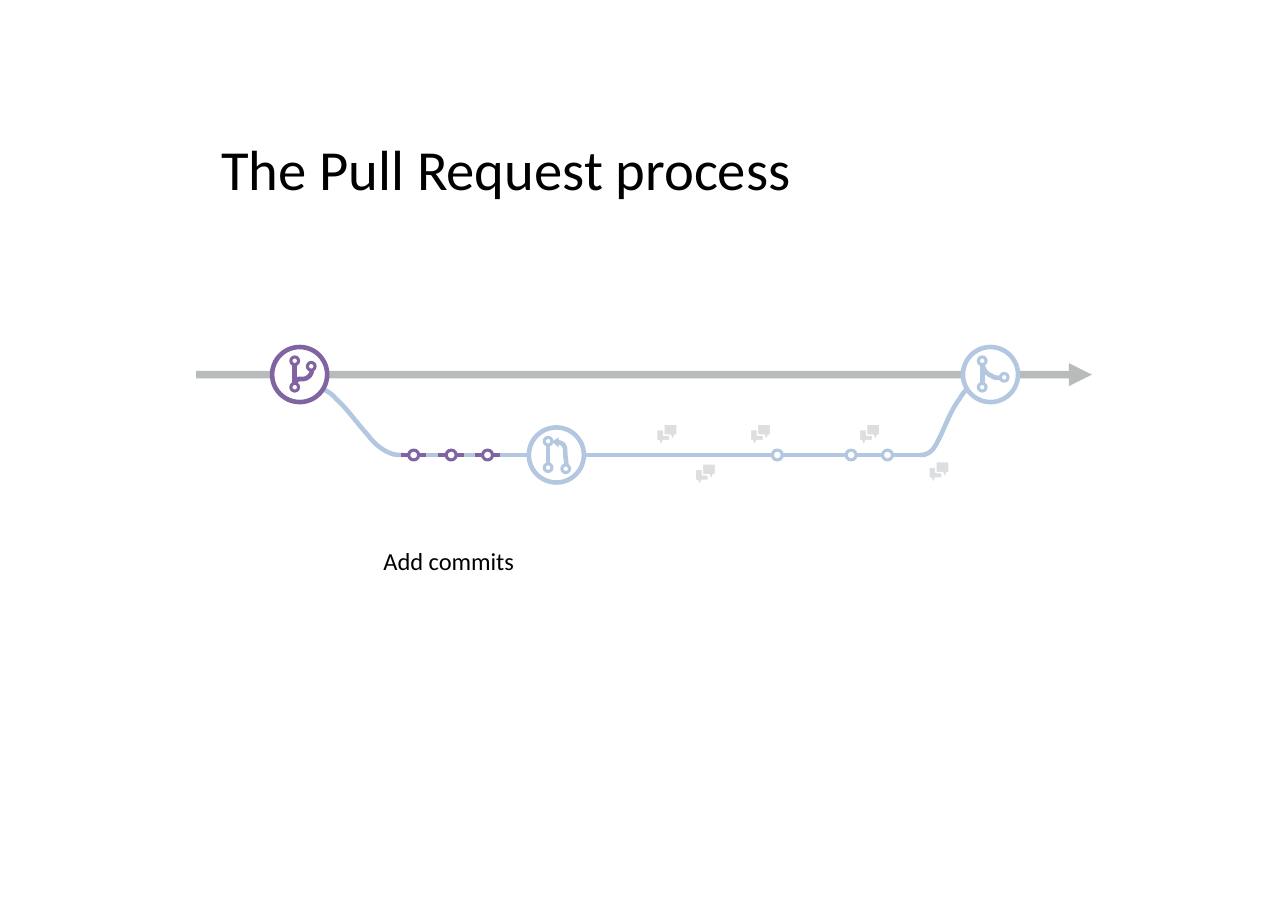
from dataclasses import dataclass

from pptx import Presentation
from pptx.dml.color import RGBColor
from pptx.enum.shapes import MSO_CONNECTOR, MSO_SHAPE
from pptx.enum.text import MSO_ANCHOR, MSO_AUTO_SIZE, PP_ALIGN
from pptx.oxml.ns import qn
from pptx.util import Inches, Pt
from lxml.etree import SubElement


@dataclass(frozen=True)
class Theme:
    font: str = "Calibri"
    text: str = "000000"
    paper: str = "FFFFFF"
    main_line: str = "A6AAA9"
    pending: str = "B3C8E0"
    active: str = "8064A2"
    comment: str = "DCDEE0"
    title_size: int = 37
    label_size: int = 16
    arrow_width: int = 5
    path_width: int = 3
    dot_width: int = 2
    outline_width: int = 1
    margin: float = 0.03


def sample_curve(points, steps=10):
    """Turn a chain of cubic Bezier segments into a list of points."""
    result = [points[0]]
    for first in range(0, len(points) - 1, 3):
        segment = points[first:first + 4]
        for step in range(1, steps + 1):
            t = step / steps
            weights = ((1 - t) ** 3, 3 * t * (1 - t) ** 2, 3 * t * t * (1 - t), t ** 3)
            result.append(tuple(
                sum(weight * point[axis] for weight, point in zip(weights, segment))
                for axis in (0, 1)))
    return result


class FlowSlide:
    def __init__(self, presentation, theme):
        self.theme = theme
        self.slide = presentation.slides.add_slide(presentation.slide_layouts[5])

    def style_line(self, shape, color, width):
        shape.line.color.rgb = RGBColor.from_string(color)
        shape.line.width = Pt(width)

    def style_fill(self, shape, color):
        shape.shadow.inherit = False
        if color:
            shape.fill.solid()
            shape.fill.fore_color.rgb = RGBColor.from_string(color)
        else:
            shape.fill.background()

    def style_text(self, shape, text, size, left_margin):
        frame = shape.text_frame
        frame.text = text
        frame.word_wrap = True
        frame.vertical_anchor = MSO_ANCHOR.MIDDLE
        margin = Inches(self.theme.margin)
        frame.margin_top = frame.margin_right = frame.margin_bottom = margin
        frame.margin_left = Inches(left_margin)
        paragraph = frame.paragraphs[0]
        paragraph.alignment = PP_ALIGN.LEFT
        font = paragraph.runs[0].font
        font.name, font.size = self.theme.font, Pt(size)
        font.color.rgb = RGBColor.from_string(self.theme.text)

    def title(self, text, left, top, width, height):
        shape = self.slide.shapes.title
        shape.left, shape.top = Inches(left), Inches(top)
        shape.width, shape.height = Inches(width), Inches(height)
        self.style_text(shape, text, self.theme.title_size, 0.15)
        shape.text_frame.auto_size = MSO_AUTO_SIZE.NONE

    def label(self, text, left, top, width, height):
        shape = self.slide.shapes.add_textbox(
            Inches(left), Inches(top), Inches(width), Inches(height))
        self.style_text(shape, text, self.theme.label_size, self.theme.margin)
        shape.text_frame.auto_size = MSO_AUTO_SIZE.SHAPE_TO_FIT_TEXT

    def line(self, start, end, color, width=None):
        connector = self.slide.shapes.add_connector(
            MSO_CONNECTOR.STRAIGHT, *(Inches(value) for value in (*start, *end)))
        self.style_line(connector, color, width or self.theme.path_width)
        SubElement(connector.element.spPr, qn("a:effectLst"))
        return connector

    def arrow(self, start, end):
        connector = self.line(start, end, self.theme.main_line, self.theme.arrow_width)
        outline = connector.line._get_or_add_ln()
        color = outline.find(qn("a:solidFill"))[0]
        SubElement(color, qn("a:alpha"), val="80000")
        SubElement(outline, qn("a:tailEnd"), type="triangle")

    def circle(self, left, top, size, color, width, fill=None):
        shape = self.slide.shapes.add_shape(
            MSO_SHAPE.OVAL, Inches(left), Inches(top), Inches(size), Inches(size))
        self.style_fill(shape, fill)
        self.style_line(shape, color, width)

    def outline(self, points, close):
        corners = [(Inches(x), Inches(y)) for x, y in points]
        builder = self.slide.shapes.build_freeform(*corners[0])
        builder.add_line_segments(corners[1:], close=close)
        return builder.convert_to_shape()

    def curve(self, points, color):
        shape = self.outline(sample_curve(points), close=False)
        self.style_fill(shape, None)
        self.style_line(shape, color, self.theme.path_width)

    def polygon(self, points, color, border=None):
        shape = self.outline(points, close=True)
        self.style_fill(shape, color)
        if border:
            self.style_line(shape, border, self.theme.outline_width)
        else:
            shape.line.fill.background()

    def node(self, left, top, color, stem_x, third_dot, curve, fill=None):
        """Ring with two dots joined by a stem, plus a third dot on a curve."""
        self.circle(left, top, 0.5, color, self.theme.path_width, fill)
        for dot_x, dot_y in ((stem_x, 0.09), (stem_x, 0.33), third_dot):
            self.circle(left + dot_x, top + dot_y, 0.07, color, self.theme.dot_width)
        x = left + stem_x + 0.035
        self.line((x, top + 0.33), (x, top + 0.16), color)
        self.curve(curve, color)

    def commit(self, left, color):
        self.circle(left, TRACK_Y - 0.045, 0.09, color, self.theme.dot_width)
        for start in (left - 0.07, left + 0.085):
            self.line((start, TRACK_Y), (start + 0.075, TRACK_Y), color)

    def discussion(self, left, top):
        """Two speech bubbles, the front one mirrored."""
        bubble = ((0, 0), (0, 0.1), (0.02, 0.1), (0.04, 0.15),
                  (0.06, 0.1), (0.12, 0.1), (0.12, 0))
        for x, y, direction in ((left, top + 0.05, 1), (left + 0.185, top, -1)):
            self.polygon([(x + direction * dx, y + dy) for dx, dy in bubble],
                         self.theme.comment, self.theme.paper)


MAIN_Y, TRACK_Y = 3.4, 4.13


def main():
    presentation = Presentation()
    presentation.slide_width, presentation.slide_height = Inches(11.69), Inches(8.26)
    theme = Theme()
    flow = FlowSlide(presentation, theme)

    # Main branch and merge node
    flow.arrow((1.78, MAIN_Y), (9.91, MAIN_Y))
    flow.node(8.74, 3.15, theme.pending, 0.14, (0.34, 0.24),
              [(8.92, 3.32), (8.93, 3.36), (8.96, 3.4), (9, 3.41),
               (9.02, 3.43), (9.05, 3.43), (9.08, 3.43)], theme.paper)

    # Topic branch: way out, straight track, way back
    flow.curve([(2.93, 3.53), (2.97, 3.55), (3.02, 3.58), (3.05, 3.62),
                (3.16, 3.72), (3.24, 3.84), (3.34, 3.95),
                (3.4, 4.03), (3.47, 4.09), (3.56, 4.12),
                (3.59, 4.13), (3.62, 4.13), (3.66, 4.13)], theme.pending)
    for start, end in ((3.84, 3.99), (4.18, 4.33), (4.53, 4.81), (5.3, 6.97),
                       (7.16, 7.63), (7.81, 7.96), (8.14, 8.38)):
        flow.line((start, TRACK_Y), (end, TRACK_Y), theme.pending)
    flow.curve([(8.78, 3.53), (8.76, 3.55), (8.73, 3.58), (8.71, 3.62),
                (8.64, 3.71), (8.59, 3.84), (8.54, 3.95),
                (8.5, 4.03), (8.47, 4.1), (8.41, 4.12),
                (8.39, 4.13), (8.37, 4.13), (8.35, 4.13)], theme.pending)

    # Pull request node
    flow.node(4.8, 3.88, theme.pending, 0.14, (0.3, 0.34),
              [(5.06, 4.02), (5.07, 4.01), (5.08, 4.02), (5.09, 4.02),
               (5.11, 4.03), (5.12, 4.04), (5.12, 4.05),
               (5.13, 4.06), (5.13, 4.08), (5.13, 4.1),
               (5.13, 4.14), (5.14, 4.18), (5.14, 4.22)])
    flow.polygon([(5.01, 4.01), (5.07, 3.97), (5.07, 4.06)], theme.pending)

    # Discussions and commits
    for left, top in ((5.96, 3.85), (6.31, 4.21), (6.81, 3.85), (7.8, 3.85), (8.43, 4.19)):
        flow.discussion(left, top)
    for left in (7.01, 7.68, 8.01):
        flow.commit(left, theme.pending)
    for left in (3.71, 4.05, 4.38):
        flow.commit(left, theme.active)

    # Branch node
    flow.node(2.47, 3.15, theme.active, 0.17, (0.32, 0.14),
              [(2.83, 3.36), (2.83, 3.4), (2.8, 3.43), (2.76, 3.44),
               (2.74, 3.44), (2.72, 3.44), (2.71, 3.44),
               (2.69, 3.45), (2.68, 3.47), (2.68, 3.48)], theme.paper)

    # Wording
    flow.label("Add commits", 3.45, 4.96, 1.35, 0.26)
    flow.title("The Pull Request process", 1.86, 0.94, 7.98, 1.17)

    presentation.save("out.pptx")


if __name__ == "__main__":
    main()
